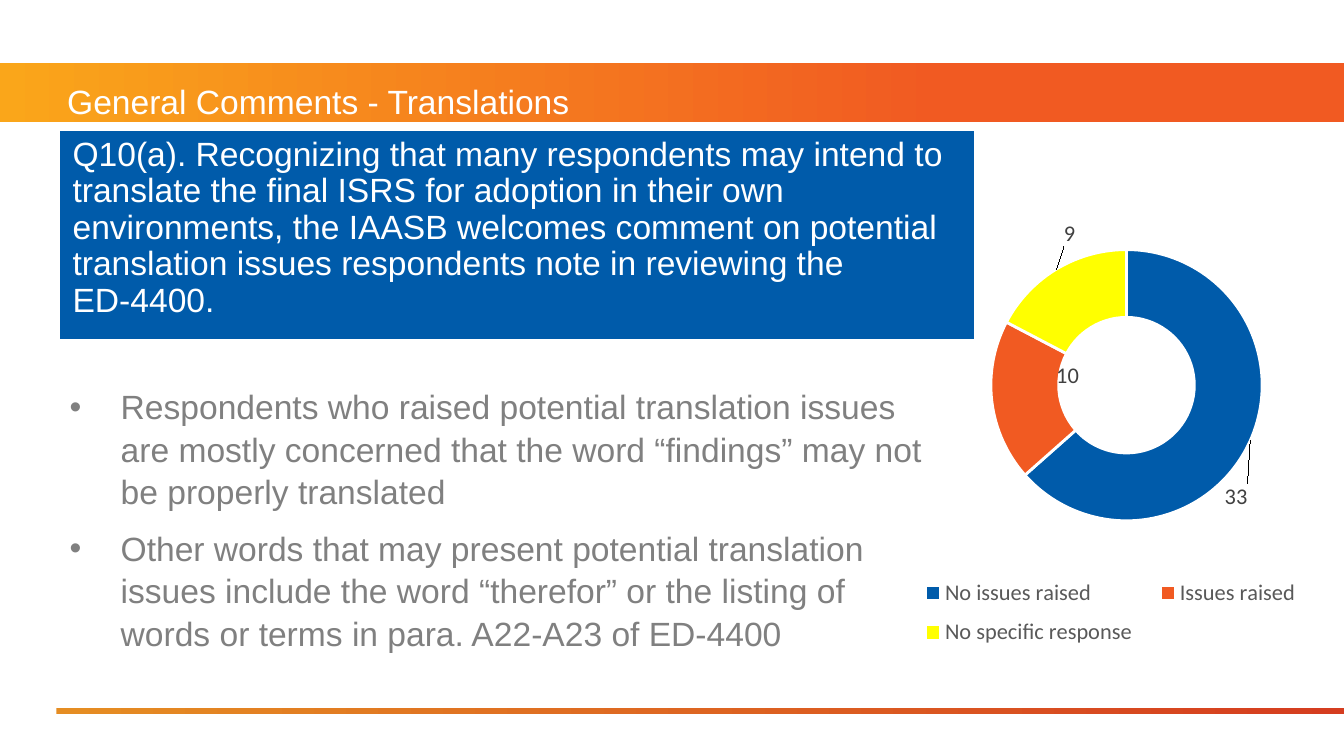
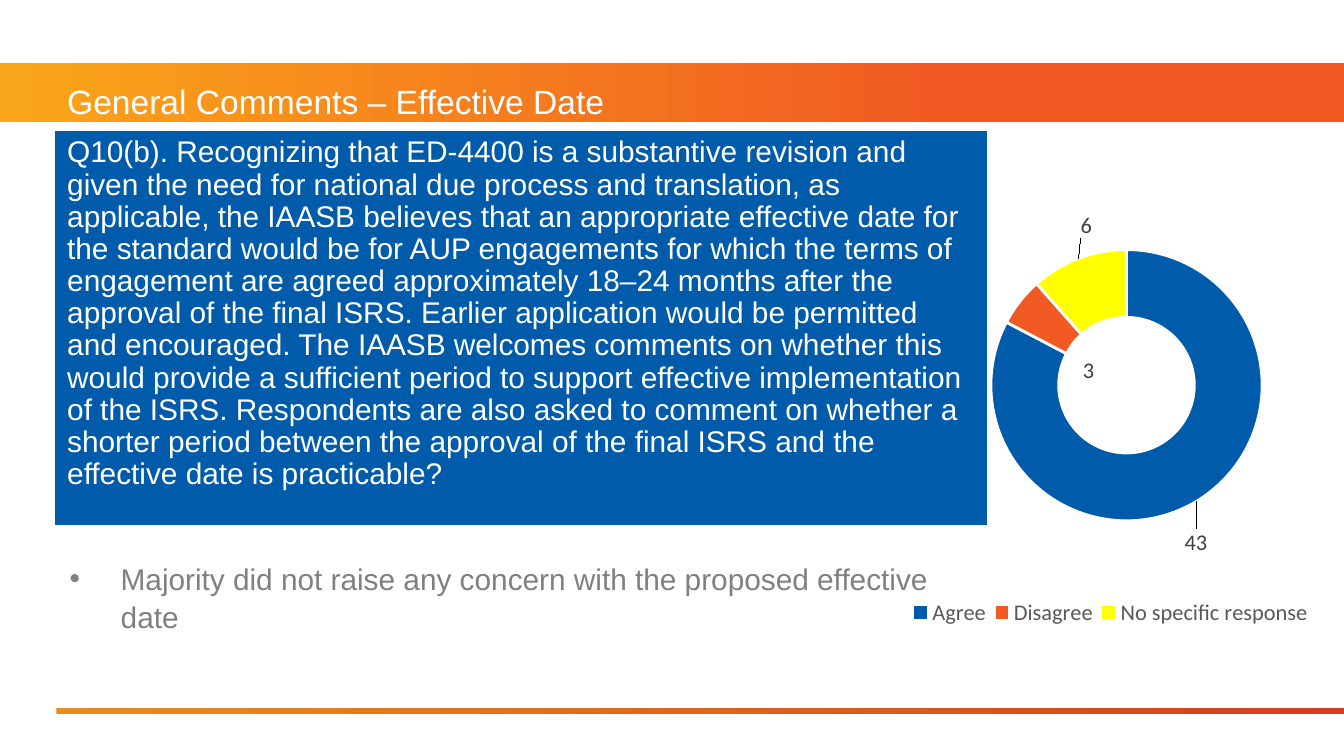
from lxml import etree
from pptx import Presentation
from pptx.chart.data import CategoryChartData
from pptx.dml.color import RGBColor
from pptx.enum.chart import XL_CHART_TYPE as ChartType, XL_LEGEND_POSITION as LegendPosition
from pptx.enum.shapes import MSO_SHAPE as ShapeType
from pptx.enum.text import MSO_ANCHOR as Anchor, PP_ALIGN as Align
from pptx.oxml.ns import qn
from pptx.util import Pt

COLORS = {
    "white": "FFFFFF", "amber": "FAA61A", "orange": "F15A22", "ochre": "E58D23",
    "red": "D53D20", "blue": "005BAA", "yellow": "FFFF00",
    "body": "808080", "legend": "595959", "label": "404040", "black": "000000",
}
SLICE_COLORS = ["blue", "orange", "yellow"]
TITLE_BOX = (28.8, 38.16, 594, 31.68)
CHART_BOX = (482.4, 69.84, 225.36, 288.72)
ROW_HEIGHT = 79.92

SLIDES = [
    {
        "title": "General Comments - Translations",
        "size": 18,
        "question_box": (31.68, 69.84, 490.32, 115.2),
        "question": "Q10(a). Recognizing that many respondents may intend to translate the final "
                    "ISRS for adoption in their own environments, the IAASB welcomes comment on "
                    "potential translation issues respondents note in reviewing the ED-4400.",
        "bullets_box": (30.24, 202.32, 475.2, 156.96),
        "bullets": [
            "Respondents who raised potential translation issues are mostly concerned that the "
            "word “findings” may not be properly translated",
            "Other words that may present potential translation issues include the word "
            "“therefor” or the listing of words or terms in para. A22-A23 of ED-4400",
        ],
        "responses": {"No issues raised": 33, "Issues raised": 10, "No specific response": 9},
        "label_offsets": [(0.04, 0.13), (0.1, -0.04), (-0.01, -0.12)],
    },
    {
        "title": "General Comments – Effective Date",
        "size": 16,
        "question_box": (28.8, 69.84, 500.4, 218.16),
        "question": "Q10(b). Recognizing that ED-4400 is a substantive revision and given the need "
                    "for national due process and translation, as applicable, the IAASB believes "
                    "that an appropriate effective date for the standard would be for AUP "
                    "engagements for which the terms of engagement are agreed approximately 18–24 "
                    "months after the approval of the final ISRS. Earlier application would be "
                    "permitted and encouraged. The IAASB welcomes comments on whether this would "
                    "provide a sufficient period to support effective implementation of the ISRS. "
                    "Respondents are also asked to comment on whether a shorter period between the "
                    "approval of the final ISRS and the effective date is practicable?",
        "bullets_box": (30.24, 295.92, 475.2, 63.36),
        "bullets": ["Majority did not raise any concern with the proposed effective date"],
        "responses": {"Agree": 43, "Disagree": 3, "No specific response": 6},
        "label_offsets": [(0.04, 0.13), (0.1, 0.09), (-0.01, -0.12)],
    },
]


def rgb(name):
    """Return the named color."""
    return RGBColor.from_string(COLORS[name])


def points(box):
    """Convert a box of numbers to lengths in points."""
    return [Pt(value) for value in box]


def set_font(font, size, color, name="Arial"):
    """Set the face, size and color of a font."""
    font.name, font.size, font.bold = name, Pt(size), False
    font.color.rgb = rgb(color)


def add_band(slide, box, start, end, end_position=1.0):
    """Add a horizontal gradient band behind everything else."""
    band = slide.shapes.add_shape(ShapeType.RECTANGLE, *points(box))
    band.shadow.inherit = False
    band.line.fill.background()
    band.fill.gradient()
    band.fill.gradient_angle = 0
    for stop, color, position in zip(band.fill.gradient_stops, (start, end), (0, end_position)):
        stop.color.rgb = rgb(color)
        stop.position = position
    slide.shapes._spTree.insert(2, band._element)


def set_title(slide, box, text):
    """Place the title on the top band."""
    title = slide.shapes.title
    title.left, title.top, title.width, title.height = points(box)
    frame = title.text_frame
    frame.text = text
    frame.vertical_anchor = Anchor.MIDDLE
    paragraph = frame.paragraphs[0]
    paragraph.alignment = Align.LEFT
    set_font(paragraph.font, 18, "white")


def add_bullets(slide, box, texts, size):
    """Add the bulleted findings."""
    frame = slide.shapes.add_textbox(*points(box)).text_frame
    frame.word_wrap = True
    for index, text in enumerate(texts):
        paragraph = frame.add_paragraph() if index else frame.paragraphs[0]
        paragraph.text = text
        paragraph.line_spacing = 1.05
        if index:
            paragraph.space_before = Pt(7.8)
        properties = paragraph._p.get_or_add_pPr()
        properties.set("marL", str(Pt(27.36)))
        properties.set("indent", str(-Pt(27.36)))
        etree.SubElement(properties, qn("a:buFont"), typeface="Arial")
        etree.SubElement(properties, qn("a:buChar"), char="•")
        set_font(paragraph.font, size, "body")


def add_question(slide, box, text, size):
    """Add the consultation question as a one-cell table."""
    frame = slide.shapes.add_table(1, 1, *points(box))
    frame.table.rows[0].height = Pt(ROW_HEIGHT)
    frame.height = Pt(box[3])
    cell = frame.table.cell(0, 0)
    cell.fill.solid()
    cell.fill.fore_color.rgb = rgb("blue")
    cell.text = text
    paragraph = cell.text_frame.paragraphs[0]
    paragraph.line_spacing = 0.97
    set_font(paragraph.font, size, "white")


def set_layout(parent, index, **values):
    """Give a chart part a manual layout, as fractions of the chart."""
    for old in parent.findall(qn("c:layout")):
        parent.remove(old)
    layout = etree.Element(qn("c:layout"))
    manual = etree.SubElement(layout, qn("c:manualLayout"))
    for tag, value in values.items():
        etree.SubElement(manual, qn(f"c:{tag}"), val=str(value))
    parent.insert(index, layout)


def add_doughnut(slide, box, responses, label_offsets):
    """Add the doughnut of responses with offset labels and a legend below."""
    data = CategoryChartData()
    data.categories = list(responses)
    data.add_series("Series 1", list(responses.values()))
    chart = slide.shapes.add_chart(ChartType.DOUGHNUT, *points(box), data).chart
    chart.has_title = False
    set_font(chart.font, 10, "black", "Calibri")

    chart.has_legend = True
    chart.legend.position = LegendPosition.BOTTOM
    chart.legend.include_in_layout = False
    set_font(chart.legend.font, 12, "legend", "Calibri")
    set_layout(chart.legend._element, 1, xMode="edge", yMode="edge", x=0.01, y=0.81, w=0.98, h=0.17)

    plot = chart.plots[0]
    plot.vary_by_categories = True
    plot._element.find(qn("c:holeSize")).set("val", "75")
    set_layout(plot._element.getparent(), 0, layoutTarget="inner", xMode="edge", yMode="edge",
               x=0.215, y=0.189, w=0.645, h=0.568)

    series = plot.series[0]
    series.data_labels.show_value = True
    series.data_labels.show_percentage = False
    set_font(series.data_labels.font, 12, "label", "Calibri")
    for index, color in enumerate(SLICE_COLORS):
        point = series.points[index]
        point.format.fill.solid()
        point.format.fill.fore_color.rgb = rgb(color)
        point.format.line.color.rgb = rgb("white")
        point.format.line.width = Pt(1.5)
        set_font(point.data_label.font, 12, "label", "Calibri")
    for label, (x, y) in zip(series._element.iter(qn("c:dLbl")), label_offsets):
        set_layout(label, 1, x=x, y=y)


def add_comment_slide(presentation, content):
    """Add one slide with a question, findings and a response chart."""
    slide = presentation.slides.add_slide(presentation.slide_layouts[5])
    add_band(slide, (30.24, 379.6, 689.76, 2.9), "ochre", "red")
    add_band(slide, (0, 33.84, 720, 31.68), "amber", "orange", 0.7)
    set_title(slide, TITLE_BOX, content["title"])
    add_bullets(slide, content["bullets_box"], content["bullets"], content["size"])
    add_question(slide, content["question_box"], content["question"], content["size"])
    add_doughnut(slide, CHART_BOX, content["responses"], content["label_offsets"])


def main():
    """Build and save the presentation."""
    presentation = Presentation()
    presentation.slide_width, presentation.slide_height = Pt(720), Pt(405)
    for content in SLIDES:
        add_comment_slide(presentation, content)
    presentation.save("out.pptx")


if __name__ == "__main__":
    main()
